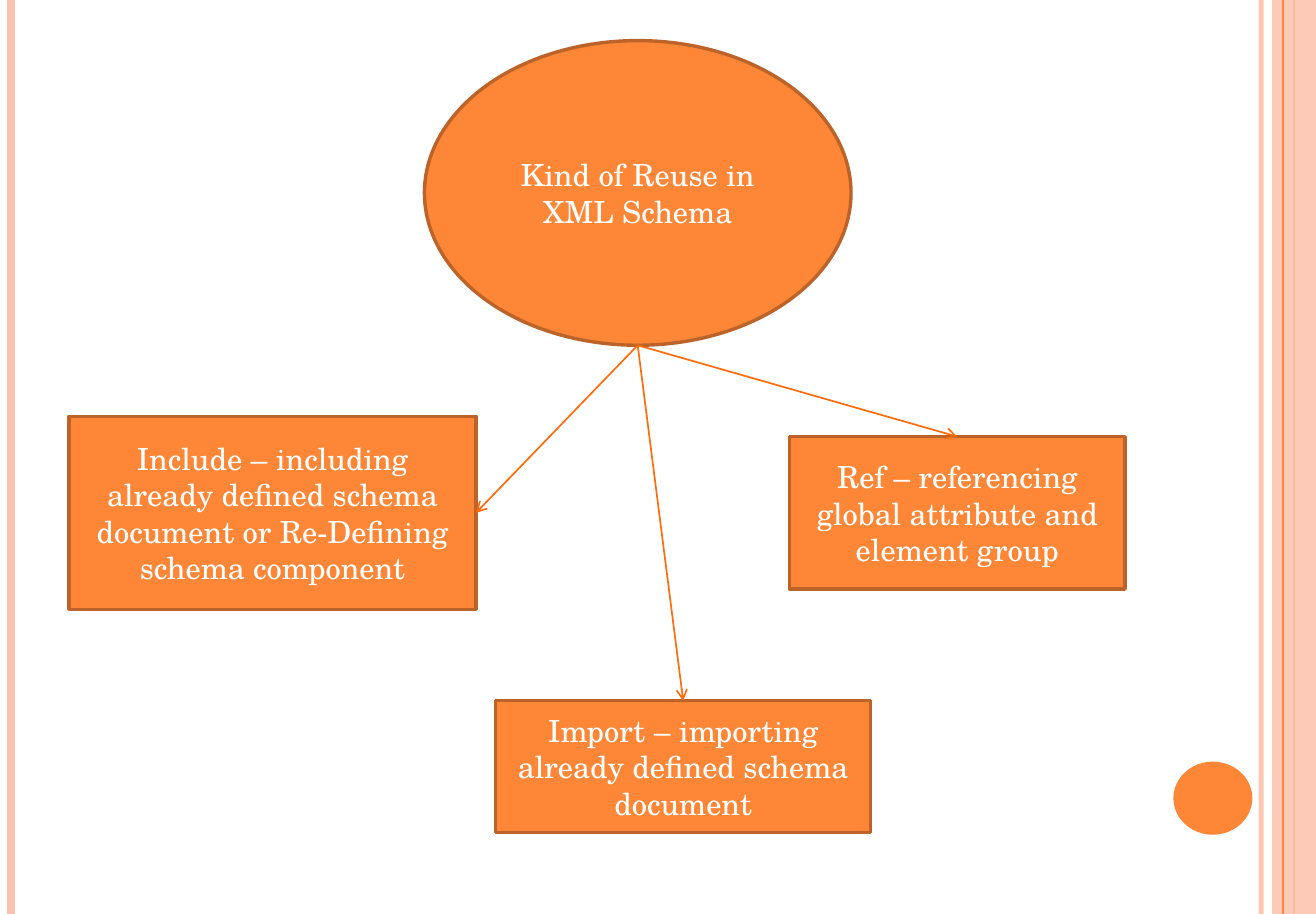
from lxml import etree
from pptx import Presentation
from pptx import util as u
from pptx.dml.color import RGBColor
from pptx.enum import shapes, text
from pptx.oxml.ns import qn

WIDTH, HEIGHT = u.Inches(10.8), u.Inches(7.5)
COLS, ROWS = 120, 90
FONT = "TeX Gyre Schola"
ORANGE, BROWN, PINK, ARROW, WHITE = "FE8637", "BC6329", "FEC3AE", "FF6B0A", "FFFFFF"
SHAPE, SITE = shapes.MSO_SHAPE, {"top": 0, "right": 3}


def paint(fmt, color, opacity=100):
    """Give a fill a solid colour and an opacity in percent."""
    fmt.solid()
    fmt.fore_color.rgb = RGBColor.from_string(color)
    if opacity < 100:
        clr = fmt._xPr.find(qn("a:solidFill"))[0]
        etree.SubElement(clr, qn("a:alpha"), val=str(opacity * 1000))


def place(box, col, row):
    """Turn a column and row of a box into a slide position."""
    left, top, width, height = box
    return round(left + width * col / COLS), round(top + height * row / ROWS)


def add_block(slide, box, kind, cell, fill=ORANGE, opacity=100, line=None, label=None):
    """Add a filled shape on the grid, with an optional outline and label."""
    col, row, cols, rows = cell
    x, y = place(box, col, row)
    right, bottom = place(box, col + cols, row + rows)
    sp = slide.shapes.add_shape(kind, x, y, right - x, bottom - y)
    sp.shadow.inherit = False
    paint(sp.fill, fill, opacity)
    if line:
        paint(sp.line.fill, line)
        sp.line.width = u.Pt(2)
    else:
        sp.line.fill.background()
    if label:
        tf = sp.text_frame
        tf.word_wrap = True
        tf.vertical_anchor = text.MSO_ANCHOR.MIDDLE
        p = tf.paragraphs[0]
        p.alignment = text.PP_ALIGN.CENTER
        r = p.add_run()
        r.text = label
        for name, value in {"name": FONT, "size": u.Pt(18)}.items():
            setattr(r.font, name, value)
        paint(r.font.fill, WHITE)
    return sp


def add_line(slide, start, end, color, width, opacity=100):
    """Add a straight line between two slide positions."""
    cxn = slide.shapes.add_connector(shapes.MSO_CONNECTOR.STRAIGHT, *start, *end)
    cxn.line.width = u.Pt(width)
    paint(cxn.line.fill, color, opacity)
    etree.SubElement(cxn._element.spPr, qn("a:effectLst"))
    return cxn


def add_frame(slide, box):
    """Draw the side stripes and the corner disc."""
    def stripe(col, *style):
        add_line(slide, place(box, col, 0), place(box, col, ROWS), *style)

    stripe(115, PINK, 3, 93)
    stripe(1, PINK, 4.5)
    stripe(118, ORANGE, 1.5)
    add_block(slide, box, SHAPE.RECTANGLE, (116, 0, 4, ROWS), PINK, 87)
    stripe(117, ORANGE, 0.75)
    add_block(slide, box, SHAPE.OVAL, (107, 75, 7.2, 7.2))


def add_reuse_tree(slide, box):
    """Draw the topic ellipse and an arrow to each kind of reuse."""
    kinds = [
        ("Ref – referencing global attribute and element group", (72, 43, 30.6, 15), "top"),
        ("Import – importing already defined schema document", (45.2, 69, 34.2, 13), "top"),
        ("Include – including already defined schema document or Re-Defining schema component",
         (6.3, 41, 37.1, 19), "right"),
    ]
    targets = [(add_block(slide, box, SHAPE.RECTANGLE, cell, line=BROWN, label=label), side)
               for label, cell, side in kinds]
    topic = add_block(slide, box, SHAPE.OVAL, (38.7, 4, 38.9, 30), line=BROWN,
                      label="Kind of Reuse in XML Schema")
    start = topic.left + topic.width // 2, topic.top + topic.height
    for sp, side in targets:
        cxn = add_line(slide, start, (sp.left, sp.top), ARROW, 1)
        cxn.end_connect(sp, SITE[side])
        etree.SubElement(cxn.line._get_or_add_ln(), qn("a:tailEnd"), type="arrow")


def main():
    """Build the slide and save it."""
    prs = Presentation()
    prs.slide_width, prs.slide_height = WIDTH, HEIGHT
    slide = prs.slides.add_slide(prs.slide_layouts[6])
    paint(slide.background.fill, WHITE)
    page = 0, 0, WIDTH, HEIGHT
    add_frame(slide, page)
    add_reuse_tree(slide, page)
    prs.save("out.pptx")


if __name__ == "__main__":
    main()
